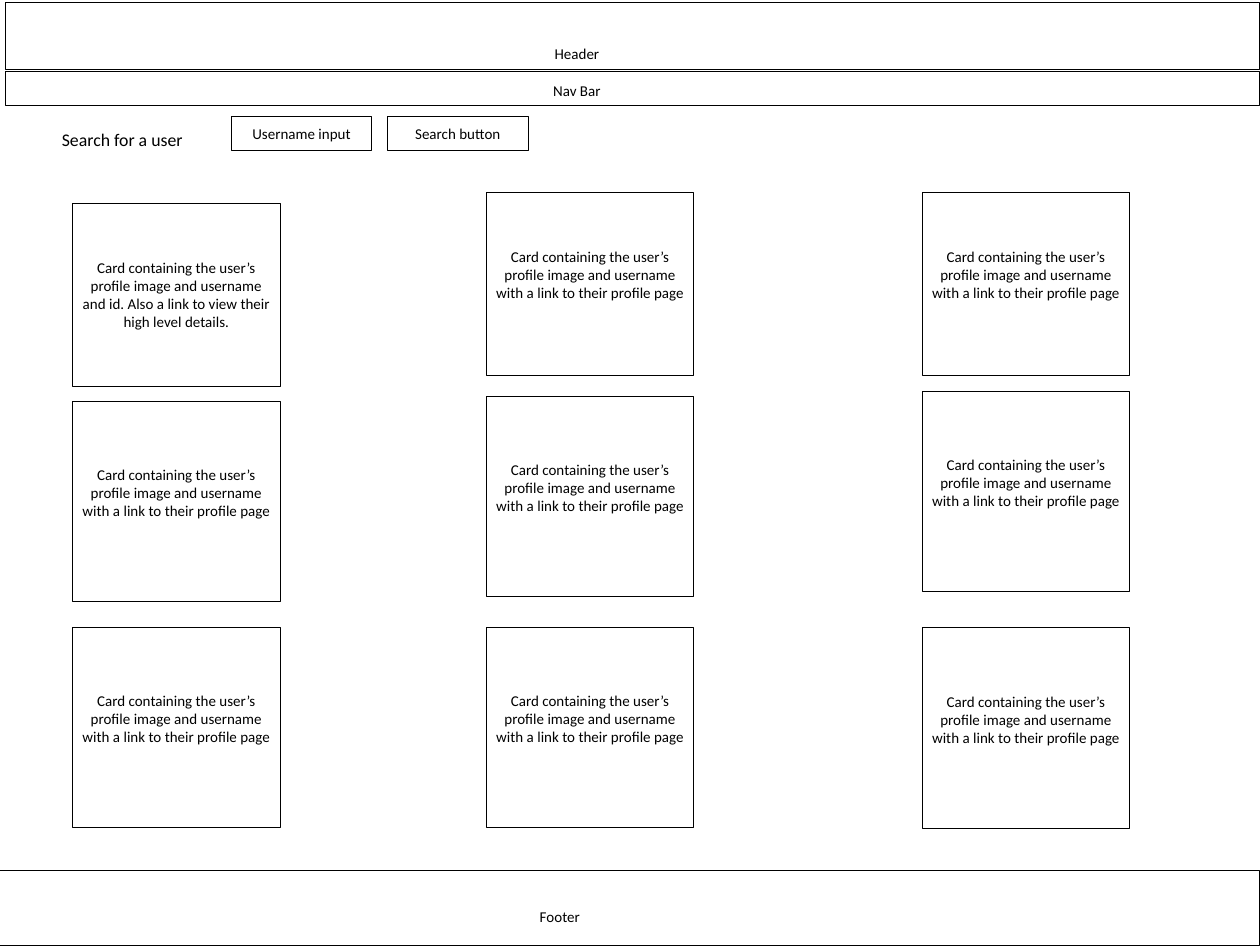
from dataclasses import dataclass

from pptx import Presentation
from pptx.dml.color import RGBColor
from pptx.enum.shapes import MSO_SHAPE
from pptx.enum.text import MSO_ANCHOR, MSO_AUTO_SIZE, PP_ALIGN
from pptx.util import Cm, Pt

RECTANGLE = MSO_SHAPE.RECTANGLE
MIDDLE = MSO_ANCHOR.MIDDLE
FIT_SHAPE = MSO_AUTO_SIZE.SHAPE_TO_FIT_TEXT
CENTER, LEFT = PP_ALIGN.CENTER, PP_ALIGN.LEFT


@dataclass(frozen=True)
class Theme:
    font: str = "Calibri"
    ink: RGBColor = RGBColor(0, 0, 0)
    body_size: float = 15.2
    heading_size: float = 18
    line_width: float = 1


THEME = Theme()

# Lengths are centimetres; boxes are left, top, width, height.
SLIDE_WIDTH, SLIDE_HEIGHT = 45.01, 33.86
BARS = [
    # label, bar box, label left, label top
    ("Header", (0.18, 0.1, 44.83, 2.39), 14.3, 1.45),
    ("Nav Bar", (0.18, 2.54, 44.83, 1.22), 14.3, 2.77),
    ("Footer", (0, 31.09, 45.01, 2.67), 13.69, 32.28),
]
BAR_LABEL_SIZE = (12.62, 0.91)

SEARCH_LABEL = "Search for a user"
SEARCH_LABEL_BOX = (1.96, 4.47, 4.88, 1.02)
CONTROLS = ["Username input", "Search button"]
CONTROL_LEFT, CONTROL_TOP, CONTROL_STEP = 8.26, 4.17, 5.58
CONTROL_SIZE = (5.03, 1.22)

FIRST_CARD = ("Card containing the user’s profile image and username and id. "
              "Also a link to view their high level details.")
USER_CARD = ("Card containing the user’s profile image and username "
             "with a link to their profile page")
CARD_WIDTH = 7.42
CARD_ROW_HEIGHTS = [6.53, 7.16, 7.16]
CARD_COLUMNS = [
    # left, top of each row
    (2.59, [7.26, 14.33, 22.4]),
    (17.37, [6.88, 14.15, 22.4]),
    (32.94, [6.88, 13.97, 22.43]),
]
TIGHT_INSETS = (0.2, 0.1)
WIDE_INSETS = (0.25, 0.13)
CARD_TEXT_LIFT = 0.65


def format_text(text_frame, text, size=THEME.body_size, alignment=CENTER):
    text_frame.text = text
    paragraph = text_frame.paragraphs[0]
    paragraph.alignment = alignment
    font = paragraph.runs[0].font
    font.name, font.size = THEME.font, Pt(size)
    font.color.rgb = THEME.ink


def add_box(slide, box, text=None, insets=TIGHT_INSETS, lift=0):
    """Add an outlined box; lift is extra bottom inset that raises its text."""
    shape = slide.shapes.add_shape(RECTANGLE, *map(Cm, box))
    shape.shadow.inherit = False
    shape.fill.background()
    shape.line.color.rgb = THEME.ink
    shape.line.width = Pt(THEME.line_width)
    if text:
        text_frame = shape.text_frame
        text_frame.word_wrap = True
        text_frame.vertical_anchor = MIDDLE
        horizontal, vertical = insets
        text_frame.margin_left = text_frame.margin_right = Cm(horizontal)
        text_frame.margin_top = Cm(vertical)
        text_frame.margin_bottom = Cm(vertical + lift)
        format_text(text_frame, text)


def add_label(slide, box, text, wrap=True, **text_format):
    text_frame = slide.shapes.add_textbox(*map(Cm, box)).text_frame
    text_frame.word_wrap = wrap
    text_frame.auto_size = FIT_SHAPE
    format_text(text_frame, text, **text_format)


def add_bars(slide):
    for label, bar_box, label_left, label_top in BARS:
        add_box(slide, bar_box)
        add_label(slide, (label_left, label_top, *BAR_LABEL_SIZE), label)


def add_search(slide):
    add_label(slide, SEARCH_LABEL_BOX, SEARCH_LABEL, wrap=False,
              size=THEME.heading_size, alignment=LEFT)
    for index, text in enumerate(CONTROLS):
        left = CONTROL_LEFT + index * CONTROL_STEP
        add_box(slide, (left, CONTROL_TOP, *CONTROL_SIZE), text)


def add_cards(slide):
    for column, (left, tops) in enumerate(CARD_COLUMNS):
        for row, (top, height) in enumerate(zip(tops, CARD_ROW_HEIGHTS)):
            is_first = column == row == 0
            add_box(slide, (left, top, CARD_WIDTH, height),
                    FIRST_CARD if is_first else USER_CARD,
                    TIGHT_INSETS if row == 0 else WIDE_INSETS,
                    0 if is_first else CARD_TEXT_LIFT)


def main():
    presentation = Presentation()
    presentation.slide_width = Cm(SLIDE_WIDTH)
    presentation.slide_height = Cm(SLIDE_HEIGHT)
    blank_layout = presentation.slide_layouts[6]
    slide = presentation.slides.add_slide(blank_layout)
    add_bars(slide)
    add_cards(slide)
    add_search(slide)
    presentation.save("out.pptx")


if __name__ == "__main__":
    main()
